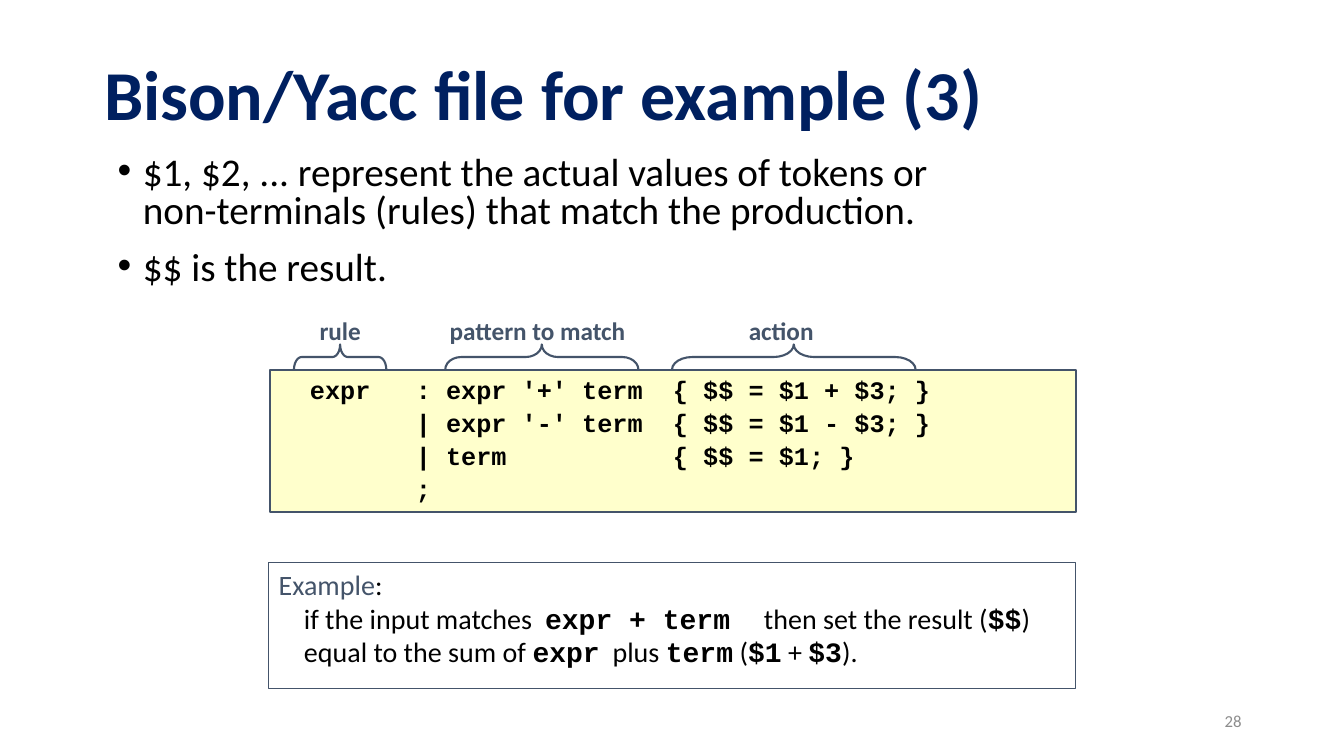
import pptx
import pptx.dml.color
import pptx.enum.shapes
import pptx.enum.text
import pptx.oxml
import pptx.oxml.ns
import pptx.util

NAVY = pptx.dml.color.RGBColor(0x00, 0x20, 0x60)
SLATE = pptx.dml.color.RGBColor(0x44, 0x54, 0x6A)
GRAY = pptx.dml.color.RGBColor(0x8C, 0x8C, 0x8C)
BLACK = pptx.dml.color.RGBColor(0, 0, 0)
CREAM = pptx.dml.color.RGBColor(0xFF, 0xFF, 0xCC)
SANS, MONO = "Calibri", "Courier New"

COLUMNS, ROWS = 160, 90
UNIT = pptx.util.Inches(13.33) / COLUMNS
CHARACTER = 0.15
CODE_STOPS = (7, 9, 24)

BULLETS = (
    "$1, $2, ... represent the actual values of tokens or non-terminals (rules) that match the production.",
    "$$ is the result.",
)
CODE = (
    "expr\t:\texpr '+' term\t{ $$ = $1 + $3; }",
    "\t|\texpr '-' term\t{ $$ = $1 - $3; }",
    "\t|\tterm\t{ $$ = $1; }",
    "\t;",
)
PARTS = (
    ("rule", (36, 9), (35, 11)),
    ("pattern to match", (51, 26), (53, 23)),
    ("action", (80, 26), (80, 29)),
)
EXAMPLE = (
    ("if the input matches  ", SANS), ("expr + term  ", MONO),
    ("then set the result (", SANS), ("$$", MONO),
    (") equal to the sum of ", SANS), ("expr", MONO),
    ("  plus ", SANS), ("term", MONO), (" (", SANS), ("$1", MONO),
    (" + ", SANS), ("$3", MONO), (").", SANS),
)


def place(column, row, width, height):
    return [round(value * UNIT) for value in (column, row, width, height)]


def style(font, size, color, name=SANS, bold=False):
    font.size = pptx.util.Pt(size)
    font.color.rgb = color
    font.name = name
    font.bold = bold


def hang(paragraph):
    properties = paragraph._p.get_or_add_pPr()
    properties.set("marL", str(pptx.util.Inches(0.25)))
    properties.set("indent", str(-pptx.util.Inches(0.25)))


def fill_placeholder(shape, area, lines):
    shape.left, shape.top, shape.width, shape.height = place(*area)
    shape.text_frame.text = "\n".join(lines)
    shape.text_frame.auto_size = pptx.enum.text.MSO_AUTO_SIZE.NONE
    return shape.text_frame.paragraphs


def add_text(slide, area, text, size, color, alignment, bold=False):
    frame = slide.shapes.add_textbox(*place(*area)).text_frame
    frame.word_wrap = True
    paragraph = frame.paragraphs[0]
    paragraph.text = text
    paragraph.alignment = alignment
    style(paragraph.font, size, color, bold=bold)
    return frame


def add_outlined(slide, kind, area, line_width, fill=None):
    shape = slide.shapes.add_shape(kind, *place(*area))
    shape.shadow.inherit = False
    if fill is None:
        shape.fill.background()
    else:
        shape.fill.solid()
        shape.fill.fore_color.rgb = fill
    shape.line.color.rgb = SLATE
    shape.line.width = pptx.util.Pt(line_width)
    return shape


def add_box(slide, area, line_width, fill=None):
    rectangle = pptx.enum.shapes.MSO_SHAPE.RECTANGLE
    frame = add_outlined(slide, rectangle, area, line_width, fill).text_frame
    frame.word_wrap = True
    frame.vertical_anchor = pptx.enum.text.MSO_ANCHOR.TOP
    return frame


def add_brace(slide, column, width):
    depth, middle_row = 3, 42.5
    area = (column + (width - depth) / 2, middle_row - width / 2, depth, width)
    kind = pptx.enum.shapes.MSO_SHAPE.RIGHT_BRACE
    brace = add_outlined(slide, kind, area, 1.5)
    brace.rotation = 270
    brace.adjustments[0] = width / 36
    brace.adjustments[1] = 0.5


def set_tab_stops(paragraph):
    stops = pptx.oxml.parse_xml(f"<a:tabLst {pptx.oxml.ns.nsdecls('a')}/>")
    for stop in CODE_STOPS:
        tab = stops.makeelement(pptx.oxml.ns.qn("a:tab"))
        tab.set("pos", str(pptx.util.Inches(stop * CHARACTER)))
        tab.set("algn", "l")
        stops.append(tab)
    paragraph.font._element.addprevious(stops)


def add_code(slide):
    frame = add_box(slide, (32.1, 44, 96, 17), 1.5, CREAM)
    frame.margin_left = pptx.util.Inches(0.1 + 2 * CHARACTER)
    frame.text = "\n".join(CODE)
    for paragraph in frame.paragraphs:
        paragraph.alignment = pptx.enum.text.PP_ALIGN.LEFT
        paragraph.space_before = pptx.util.Pt(1.8)
        style(paragraph.font, 18, BLACK, MONO, True)
        set_tab_stops(paragraph)


def add_example(slide):
    paragraph = add_box(slide, (32, 67, 96, 15), 0.75).paragraphs[0]
    paragraph.alignment = pptx.enum.text.PP_ALIGN.LEFT
    hang(paragraph)

    def add_run(text, color, name=SANS):
        run = paragraph.add_run()
        run.text = text
        style(run.font, 20, color, name, name == MONO)

    add_run("Example", SLATE)
    add_run(":", BLACK)
    paragraph.add_line_break()
    for text, name in EXAMPLE:
        add_run(text, BLACK, name)


def main():
    align = pptx.enum.text.PP_ALIGN
    presentation = pptx.Presentation()
    presentation.slide_width = round(COLUMNS * UNIT)
    presentation.slide_height = round(ROWS * UNIT)
    slide = presentation.slides.add_slide(presentation.slide_layouts[1])

    title = fill_placeholder(slide.shapes.title, (11.2, 3, 111.5, 17.4),
                             ["Bison/Yacc file for example (3)"])[0]
    title.alignment = align.LEFT
    title.line_spacing = 0.9
    style(title.font, 50, NAVY, bold=True)

    for paragraph in fill_placeholder(slide.placeholders[1], (12.8, 18, 104, 18), BULLETS):
        hang(paragraph)
        paragraph.line_spacing = 0.8
        paragraph.space_before = pptx.util.Pt(14)
        style(paragraph.font, 28, BLACK)

    add_code(slide)
    add_example(slide)
    for name, (label_column, label_width), brace_span in PARTS:
        add_brace(slide, *brace_span)
        add_text(slide, (label_column, 37, label_width, 4.8), name, 18, SLATE,
                 align.CENTER, True)
    number = add_text(slide, (113, 83.4, 36, 4.8), "28", 12, GRAY, align.RIGHT)
    number.vertical_anchor = pptx.enum.text.MSO_ANCHOR.MIDDLE
    presentation.save("out.pptx")


if __name__ == "__main__":
    main()
